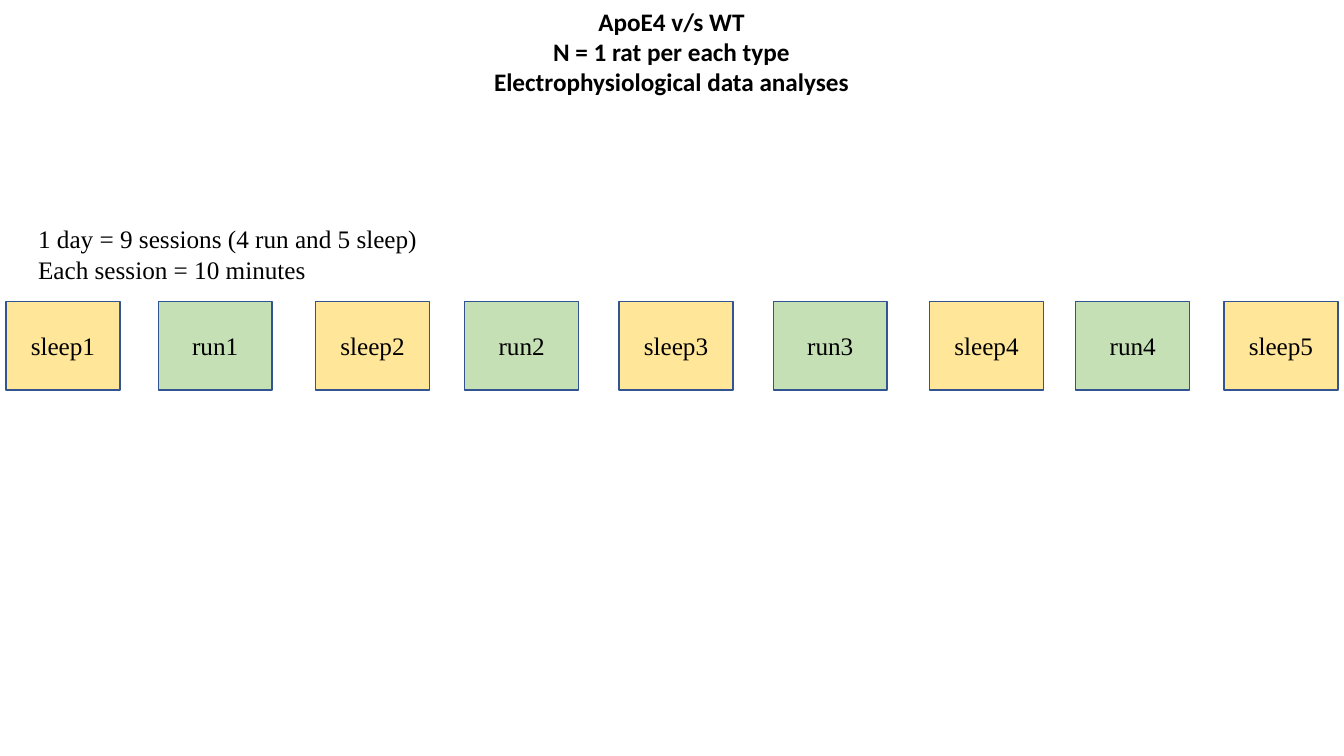
from pptx import Presentation
from pptx.dml.color import RGBColor
from pptx.enum.shapes import MSO_SHAPE
from pptx.enum.text import MSO_ANCHOR, MSO_AUTO_SIZE, PP_ALIGN
from pptx.util import Inches, Pt

SERIF = "Times New Roman"
# Fill and left edges of the boxes of each session type
SESSIONS = {
    "sleep": ("FFE699", [0.06, 3.13, 6.14, 9.22, 12.14]),
    "run": ("C5E0B4", [1.57, 4.61, 7.67, 10.67]),
}


def color(code):
    return RGBColor.from_string(code)


def write(frame, lines, font, align, bold=False):
    for i, line in enumerate(lines):
        para = frame.add_paragraph() if i else frame.paragraphs[0]
        para.alignment = align
        run = para.add_run()
        run.text = line
        run.font.name = font
        run.font.size = Pt(18)
        run.font.bold = bold
        run.font.color.rgb = color("000000")


def add_text(slide, area, lines, font, align, bold=False, wrap=True):
    frame = slide.shapes.add_textbox(*map(Inches, area)).text_frame
    frame.word_wrap = wrap
    frame.auto_size = MSO_AUTO_SIZE.SHAPE_TO_FIT_TEXT
    write(frame, lines, font, align, bold)


def add_session(slide, left, label, fill):
    box = slide.shapes.add_shape(
        MSO_SHAPE.RECTANGLE, Inches(left), Inches(2.99), Inches(1.13), Inches(0.88))
    box.shadow.inherit = False
    box.fill.solid()
    box.fill.fore_color.rgb = color(fill)
    box.line.color.rgb = color("325491")
    box.line.width = Pt(1)
    box.text_frame.vertical_anchor = MSO_ANCHOR.MIDDLE
    write(box.text_frame, [label], SERIF, PP_ALIGN.CENTER)


def main():
    deck = Presentation()
    deck.slide_width = Inches(13.33)
    deck.slide_height = Inches(7.5)
    slide = deck.slides.add_slide(deck.slide_layouts[6])

    title = ["ApoE4 v/s WT", "N = 1 rat per each type", "Electrophysiological data analyses"]
    add_text(slide, (4.79, 0.01, 3.74, 1.01), title, "Calibri", PP_ALIGN.CENTER,
             bold=True, wrap=False)
    for kind, (fill, lefts) in SESSIONS.items():
        for number, left in enumerate(lefts, 1):
            add_session(slide, left, f"{kind}{number}", fill)
    notes = ["1 day = 9 sessions (4 run and 5 sleep)", "Each session = 10 minutes"]
    add_text(slide, (0.28, 2.17, 10.06, 0.71), notes, SERIF, PP_ALIGN.LEFT)

    deck.save("out.pptx")


if __name__ == "__main__":
    main()
